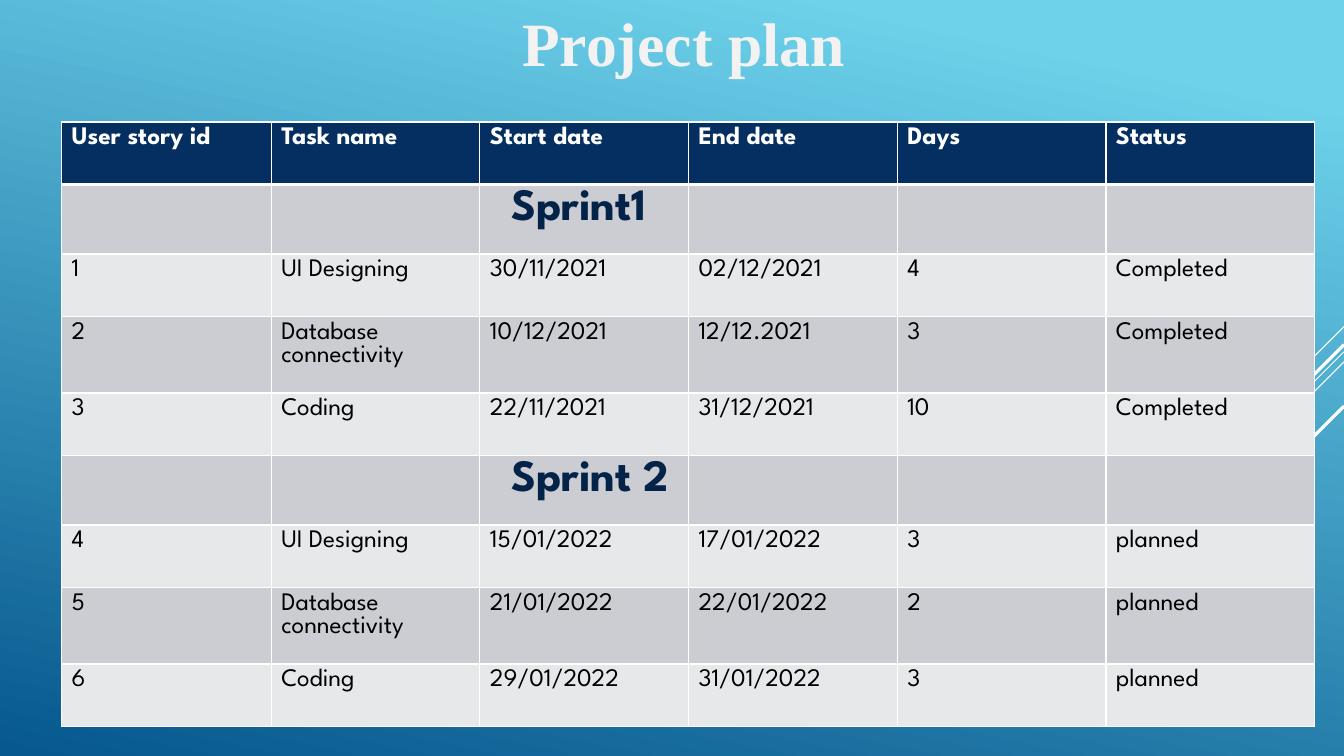
from dataclasses import dataclass

from lxml import etree
from pptx import Presentation
from pptx.dml.color import RGBColor
from pptx.enum import shapes, text
from pptx.oxml.ns import qn
from pptx.util import Inches, Pt


@dataclass(frozen=True)
class Theme:
    sky: str = "6ED2EB"
    deep_blue: str = "06588E"
    white: str = "FFFFFF"
    title_color: str = "F2F2F2"
    header_fill: str = "052F61"
    dark_band: str = "CCCDD2"
    light_band: str = "E7E8EA"
    sprint_color: str = "042349"
    body_color: str = "000000"
    title_font: str = "Times New Roman"
    table_font: str = "League Spartan"
    title_size: int = 44
    sprint_size: int = 32
    body_size: int = 18


HEADINGS = ["User story id", "Task name", "Start date", "End date", "Days", "Status"]
SPRINTS = {
    "Sprint1": [
        ["1", "UI Designing", "30/11/2021", "02/12/2021", "4", "Completed"],
        ["2", "Database connectivity", "10/12/2021", "12/12.2021", "3", "Completed"],
        ["3", "Coding", "22/11/2021", "31/12/2021", "10", "Completed"],
    ],
    "Sprint 2": [
        ["4", "UI Designing", "15/01/2022", "17/01/2022", "3", "planned"],
        ["5", "Database connectivity", "21/01/2022", "22/01/2022", "2", "planned"],
        ["6", "Coding", "29/01/2022", "31/01/2022", "3", "planned"],
    ],
}
SPRINT_COLUMN = 2
COLUMN_WIDTHS = [2.08] + [2.07] * 5
TASK_HEIGHT, TWO_LINE_HEIGHT, SPRINT_HEIGHT = 0.62, 0.76, 0.69

# Start height on the right edge, horizontal run to the lower left, line width
RAYS = [(3.24, 1.0, 0.75), (3.49, 3.26, 0.75), (3.59, 2.07, 0.75),
        (3.42, 1.91, 2.25), (4.03, 1.39, 2.25)]


class PlanSlide:
    def __init__(self, deck, theme):
        self.theme = theme
        self.width = deck.slide_width
        self.slide = deck.slides.add_slide(deck.slide_layouts[5])

    def background(self):
        fill = self.slide.background.fill
        fill.gradient()
        fill.gradient_angle = 258
        stops = [(0.1, self.theme.sky), (1.0, self.theme.deep_blue)]
        for stop, (position, color) in zip(fill.gradient_stops, stops):
            stop.position = position
            stop.color.rgb = RGBColor.from_string(color)

    def style(self, paragraph, font, size, color, bold):
        for run in paragraph.runs:
            run.font.name = font
            run.font.size = Pt(size)
            run.font.bold = bold
            run.font.color.rgb = RGBColor.from_string(color)

    def title(self, wording, left, top, width, height):
        heading = self.slide.shapes.title
        heading.left, heading.top = Inches(left), Inches(top)
        heading.width, heading.height = Inches(width), Inches(height)
        frame = heading.text_frame
        frame.text = wording
        frame.auto_size = text.MSO_AUTO_SIZE.NONE
        frame.vertical_anchor = text.MSO_ANCHOR.TOP
        frame.paragraphs[0].alignment = text.PP_ALIGN.CENTER
        self.style(frame.paragraphs[0], self.theme.title_font,
                   self.theme.title_size, self.theme.title_color, True)

    def ray(self, top, run, weight):
        """Draw a 45° line from the right edge down to the left."""
        line = self.slide.shapes.add_connector(
            shapes.MSO_CONNECTOR.STRAIGHT, self.width, Inches(top),
            self.width - Inches(run), Inches(top + run))
        line.line.color.rgb = RGBColor.from_string(self.theme.white)
        line.line.width = Pt(weight)
        etree.SubElement(line._element.spPr, qn("a:effectLst"))

    def borders(self, cell, top, bottom):
        properties = cell._tc.get_or_add_tcPr()
        sides = [("a:lnL", 1), ("a:lnR", 1), ("a:lnT", top), ("a:lnB", bottom)]
        for index, (side, weight) in enumerate(sides):
            border = etree.Element(qn(side), w=str(Pt(weight)))
            solid = etree.SubElement(border, qn("a:solidFill"))
            etree.SubElement(solid, qn("a:srgbClr"), val=self.theme.white)
            properties.insert(index, border)

    def cell(self, cell, wording, fill, size, color, bold):
        cell.fill.solid()
        cell.fill.fore_color.rgb = RGBColor.from_string(fill)
        cell.text_frame.text = wording
        self.style(cell.text_frame.paragraphs[0], self.theme.table_font, size, color, bold)

    def plan_table(self, left, top):
        theme = self.theme
        rows = [(HEADINGS, TASK_HEIGHT, theme.body_size, theme.white, True)]
        sprint_rows = []
        for sprint, tasks in SPRINTS.items():
            sprint_rows.append(len(rows))
            labels = [sprint if c == SPRINT_COLUMN else "" for c in range(len(HEADINGS))]
            rows.append((labels, SPRINT_HEIGHT, theme.sprint_size, theme.sprint_color, True))
            for task in tasks:
                height = TWO_LINE_HEIGHT if " connectivity" in task[1] else TASK_HEIGHT
                rows.append((task, height, theme.body_size, theme.body_color, False))

        plan = self.slide.shapes.add_table(
            len(rows), len(HEADINGS), Inches(left), Inches(top),
            Inches(sum(COLUMN_WIDTHS)), Inches(sum(row[1] for row in rows))).table
        for column, width in zip(plan.columns, COLUMN_WIDTHS):
            column.width = Inches(width)
        for r, (wordings, height, size, color, bold) in enumerate(rows):
            plan.rows[r].height = Inches(height)
            band = theme.dark_band if r % 2 else theme.light_band
            fill = band if r else theme.header_fill
            for c, wording in enumerate(wordings):
                cell = plan.cell(r, c)
                self.cell(cell, wording, fill, size, color, bold)
                self.borders(cell, top=3 if r == 1 else 1, bottom=1 if r else 3)
        for r in sprint_rows:
            plan.cell(r, SPRINT_COLUMN).margin_left = Inches(0.31)


def main():
    deck = Presentation()
    deck.slide_width, deck.slide_height = Inches(13.33), Inches(7.5)
    plan = PlanSlide(deck, Theme())
    plan.background()
    for ray in RAYS:
        plan.ray(*ray)
    plan.plan_table(0.61, 1.21)
    plan.title("Project plan", 3.16, 0, 7.24, 0.84)
    deck.save("out.pptx")


if __name__ == "__main__":
    main()
